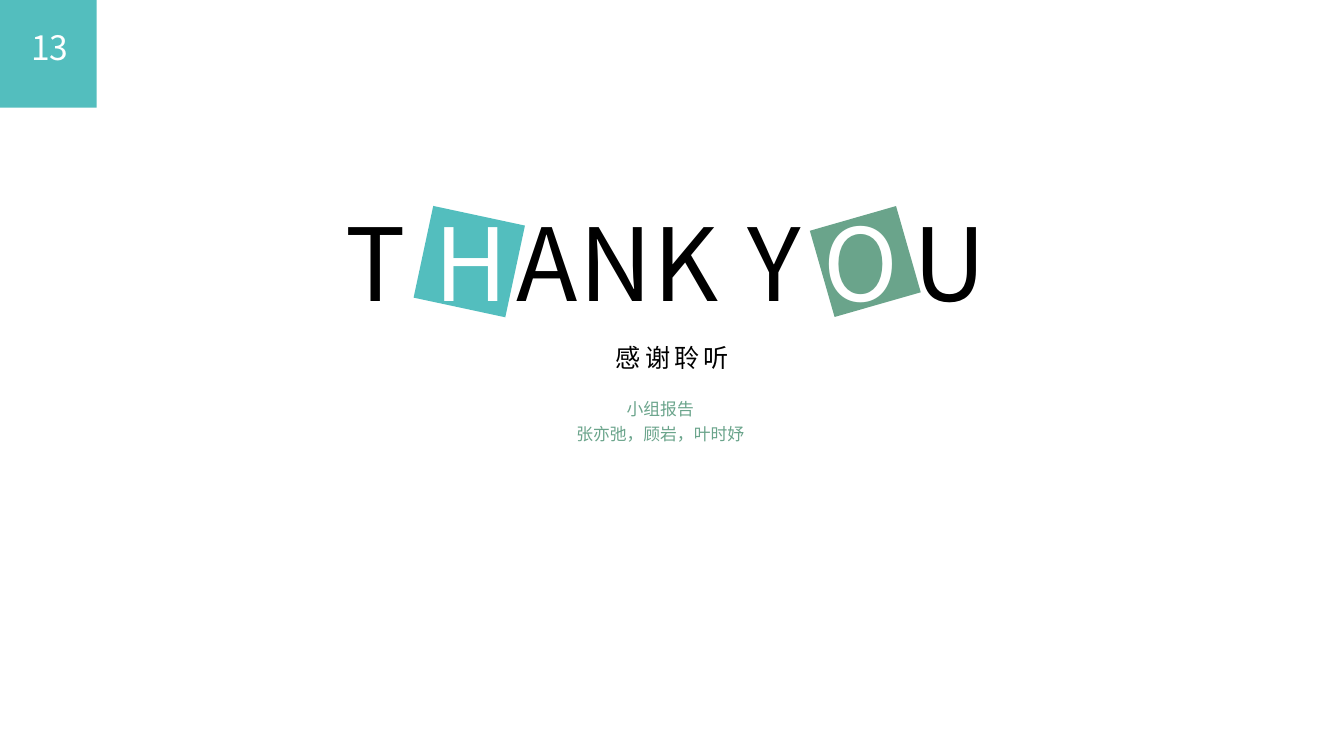
from pptx import Presentation
from pptx.dml.color import RGBColor
from pptx.enum.shapes import MSO_SHAPE as Shape
from pptx.enum.text import MSO_ANCHOR as Anchor, MSO_AUTO_SIZE as AutoSize, PP_ALIGN as Align
from pptx.oxml.ns import qn
from pptx.util import Pt

COLORS = {"teal": "53BEBE", "green": "6AA48B", "black": "000000", "white": "FFFFFF"}
FONT = "Noto Sans CJK SC"


class SlideBuilder:
    """Holds the style and the current slide."""

    def __init__(self, slide):
        self.slide = slide

    def color(self, name):
        return RGBColor.from_string(COLORS[name])

    def tile(self, left, top, width, height, color, rotation=0):
        shape = self.slide.shapes.add_shape(
            Shape.RECTANGLE, Pt(left), Pt(top), Pt(width), Pt(height))
        shape.shadow.inherit = False
        shape.fill.solid()
        shape.fill.fore_color.rgb = self.color(color)
        shape.line.fill.background()
        shape.rotation = rotation

    def fill_text(self, shape, lines, size, color, align=Align.LEFT,
                  spacing=0, line_spacing=1.0, wrap=True):
        frame = shape.text_frame
        frame.word_wrap = wrap
        frame.auto_size = AutoSize.SHAPE_TO_FIT_TEXT
        frame.vertical_anchor = Anchor.TOP
        for index, line in enumerate(lines):
            paragraph = frame.add_paragraph() if index else frame.paragraphs[0]
            paragraph.alignment = align
            paragraph.line_spacing = line_spacing
            paragraph.space_before = Pt(0)
            run = paragraph.add_run()
            run.text = line
            run.font.size = Pt(size)
            run.font.name = FONT
            run.font.color.rgb = self.color(color)
            properties = run.font._element
            east_asian = properties.makeelement(qn("a:ea"), {"typeface": FONT})
            properties.find(qn("a:latin")).addnext(east_asian)
            if spacing:
                properties.set("spc", str(spacing * 100))

    def text(self, left, top, width, height, line, size, color, **style):
        box = self.slide.shapes.add_textbox(Pt(left), Pt(top), Pt(width), Pt(height))
        self.fill_text(box, [line], size, color, **style)

    def placeholder(self, shape, left, top, width, height, lines, size, color, **style):
        shape.left, shape.top = Pt(left), Pt(top)
        shape.width, shape.height = Pt(width), Pt(height)
        self.fill_text(shape, lines, size, color, align=Align.CENTER, **style)


def main():
    presentation = Presentation()
    presentation.slide_width, presentation.slide_height = Pt(960), Pt(540)
    slide = presentation.slides.add_slide(presentation.slide_layouts[0])
    builder = SlideBuilder(slide)

    # Tilted tiles behind the H and the O
    builder.tile(586.1, 154.8, 64.1, 64.1, "green", rotation=344)
    builder.tile(301.7, 153.4, 67, 67, "teal", rotation=12.1)

    # Large letters: letter, left, width, color
    letters = [
        ("T", 239.8, 66.2, "black"),
        ("H", 303.1, 75.6, "white"),
        ("A", 362.2, 67, "black"),
        ("N", 406.8, 74.9, "black"),
        ("K", 459.4, 72.7, "black"),
        ("Y", 527, 62.6, "black"),
        ("O", 581, 76.3, "white"),
        ("U", 645.8, 74.9, "black"),
    ]
    for letter, left, width, color in letters:
        builder.text(left, 139.7, width, 94.3, letter, 72, color, spacing=6, wrap=False)

    # Title and group members
    builder.placeholder(slide.shapes.title, 430.6, 241.2, 99.4, 28.8,
                        ["感谢聆听"], 18, "black", spacing=3, wrap=False)
    builder.placeholder(slide.placeholders[1], 326.2, 278.6, 290.9, 77,
                        ["小组报告", "张亦弛，顾岩，叶时妤"], 12, "green", line_spacing=1.2)

    # Page number corner
    builder.tile(0, 0, 69.1, 77, "teal")
    builder.text(15.1, 15.8, 62.6, 36, "13", 24, "white")

    presentation.save("out.pptx")


if __name__ == "__main__":
    main()
